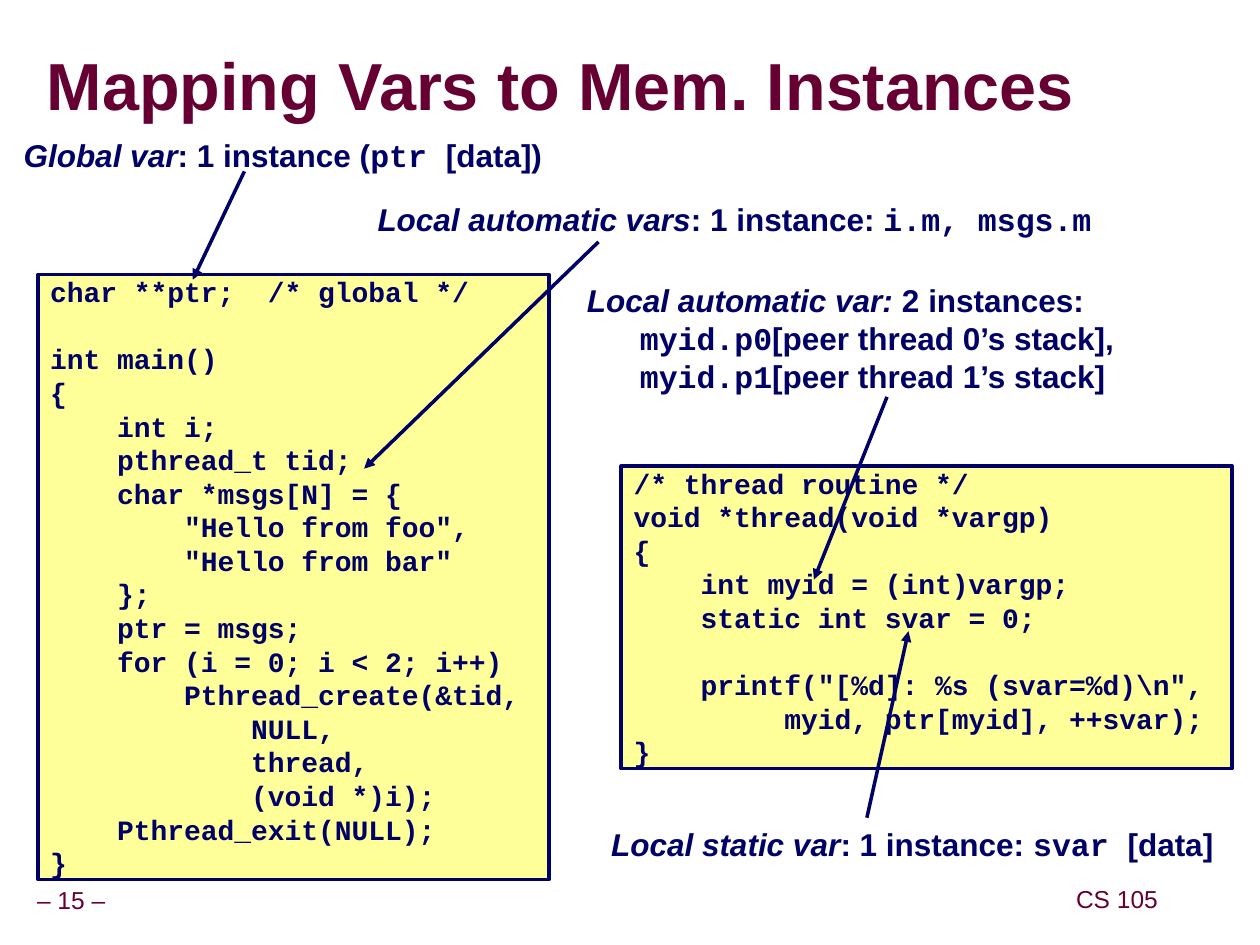
from lxml.etree import SubElement
from pptx import Presentation
from pptx.dml.color import RGBColor
from pptx.enum.shapes import MSO_CONNECTOR, MSO_SHAPE
from pptx.enum.text import MSO_ANCHOR, MSO_AUTO_SIZE, PP_ALIGN
from pptx.oxml.ns import qn
from pptx.util import Inches, Pt

COLUMNS, ROWS = 100, 75
MAROON, NAVY, YELLOW = "660033", "000066", "FFFF99"
SANS, MONO = "Arial", "Courier New"

MAIN_CODE = r'''char **ptr;  /* global */

int main()
{
    int i;
    pthread_t tid;
    char *msgs[N] = {
        "Hello from foo",
        "Hello from bar"
    };
    ptr = msgs;
    for (i = 0; i < 2; i++)
        Pthread_create(&tid,
            NULL,
            thread,
            (void *)i);
    Pthread_exit(NULL);
}'''

THREAD_CODE = r'''/* thread routine */
void *thread(void *vargp)
{
    int myid = (int)vargp;
    static int svar = 0;

    printf("[%d]: %s (svar=%d)\n",
         myid, ptr[myid], ++svar);
}'''


def colour(hex_value):
    return RGBColor.from_string(hex_value)


def apply(target, values):
    for name, value in values.items():
        setattr(target, name, value)


class CodeSlide:
    """Style and current slide; positions are grid columns and rows."""

    STYLES = {
        "term": {"name": SANS, "size": Pt(18), "bold": True, "italic": True},
        "plain": {"name": SANS, "size": Pt(18), "bold": True, "italic": False},
        "mono": {"name": MONO, "size": Pt(18), "bold": True, "italic": False},
        "code": {"name": MONO, "size": Pt(16), "bold": True},
        "title": {"name": SANS, "size": Pt(38), "bold": True},
        "footer": {"name": SANS, "size": Pt(14), "bold": False},
    }

    def __init__(self, deck):
        self.cell_width = deck.slide_width / COLUMNS
        self.cell_height = deck.slide_height / ROWS
        self.slide = deck.slides.add_slide(deck.slide_layouts[5])

    def point(self, column, row):
        return round(column * self.cell_width), round(row * self.cell_height)

    def area(self, column, row, columns, rows):
        return *self.point(column, row), *self.point(columns, rows)

    def frame(self, shape, margin=0.0, wrap=False):
        apply(shape.text_frame, {
            "word_wrap": wrap, "auto_size": MSO_AUTO_SIZE.NONE,
            "vertical_anchor": MSO_ANCHOR.MIDDLE,
            "margin_left": Inches(margin), "margin_right": Inches(margin),
            "margin_top": 0, "margin_bottom": 0})
        return shape.text_frame

    def set_lines(self, frame, lines, hex_value, align, spacing, indent=0):
        """Each line is a list of (text, style) pairs; later lines are indented."""
        for number, line in enumerate(lines):
            paragraph = frame.add_paragraph() if number else frame.paragraphs[0]
            apply(paragraph, {"alignment": align, "line_spacing": spacing,
                              "space_before": Pt(0)})
            if number and indent:
                paragraph._p.get_or_add_pPr().set("marL", str(Inches(indent)))
            for text, style in line:
                run = paragraph.add_run()
                run.text = text
                apply(run.font, self.STYLES[style])
                run.font.color.rgb = colour(hex_value)
            if not line:
                apply(paragraph.font, self.STYLES["code"])

    def title(self, text, *area):
        title = self.slide.shapes.title
        apply(title, dict(zip(("left", "top", "width", "height"), self.area(*area))))
        self.set_lines(self.frame(title, wrap=True), [[(text, "title")]],
                       MAROON, PP_ALIGN.LEFT, 0.87)

    def footer(self, text, *area):
        box = self.slide.shapes.add_textbox(*self.area(*area))
        self.set_lines(self.frame(box, 0.05), [[(text, "footer")]],
                       MAROON, PP_ALIGN.CENTER, 0.9)

    def label(self, lines, *area, align=PP_ALIGN.CENTER, indent=0):
        box = self.slide.shapes.add_textbox(*self.area(*area))
        self.set_lines(self.frame(box, 0.1), lines, NAVY, align, Pt(21.6), indent)

    def code(self, source, *area):
        panel = self.slide.shapes.add_shape(MSO_SHAPE.RECTANGLE, *self.area(*area))
        panel.shadow.inherit = False
        panel.fill.solid()
        panel.fill.fore_color.rgb = colour(YELLOW)
        panel.line.color.rgb = colour(NAVY)
        panel.line.width = Pt(2)
        lines = [[(line, "code")] if line else [] for line in source.split("\n")]
        self.set_lines(self.frame(panel, 0.1, wrap=True), lines,
                       NAVY, PP_ALIGN.LEFT, Pt(19.2))

    def arrow(self, start, end):
        arrow = self.slide.shapes.add_connector(
            MSO_CONNECTOR.STRAIGHT, *self.point(*start), *self.point(*end))
        arrow.line.color.rgb = colour(NAVY)
        arrow.line.width = Pt(2)
        SubElement(arrow.line._get_or_add_ln(), qn("a:tailEnd"), type="triangle")
        SubElement(arrow._element.spPr, qn("a:effectLst"))


def main():
    deck = Presentation()
    deck.slide_width, deck.slide_height = Inches(10), Inches(7.5)
    page = CodeSlide(deck)

    # Title and footers
    page.title("Mapping Vars to Mem. Instances", 3.7, 2.9, 98.1, 8.5)
    page.footer("– 15 –", -0.9, 70, 13.1, 3.1)
    page.footer("CS 105", 84.9, 69.9, 7.5, 3.1)

    # Code panels
    page.code(MAIN_CODE, 3, 21.8, 40.6, 48)
    page.code(THREAD_CODE, 49.3, 37, 48.5, 24)

    # Global variable
    page.label([[("Global var", "term"), (": 1 instance (", "plain"),
                 ("ptr ", "mono"), ("[data])", "plain")]], 0.9, 10.8, 43.1, 3)
    page.arrow((19.4, 13.6), (15.3, 22.2))

    # Local static variable
    page.label([[("Local static var", "term"), (": 1 instance: ", "plain"),
                 ("svar ", "mono"), ("[data]", "plain")]], 47.5, 65.5, 49.8, 3)
    page.arrow((68.8, 64.9), (72.1, 50.1))

    # Local automatic variables of main
    page.label([[("Local automatic vars", "term"), (": 1 instance: ", "plain"),
                 ("i.m, msgs.m", "mono")]], 29, 15.9, 58.6, 3)
    page.arrow((47.5, 19.2), (28.9, 37.2))

    # Local automatic variable of each peer thread
    instances = [[(f"myid.p{peer}", "mono"),
                  (f"[peer thread {peer}’s stack]{ending}", "plain")]
                 for peer, ending in enumerate((",", ""))]
    page.label([[("Local automatic var:", "term"), (" 2 instances:", "plain")],
                *instances],
               45.6, 22.3, 43.9, 9, align=PP_ALIGN.LEFT, indent=0.42)
    page.arrow((70.4, 31.5), (64.6, 46))

    deck.save("out.pptx")


if __name__ == "__main__":
    main()
